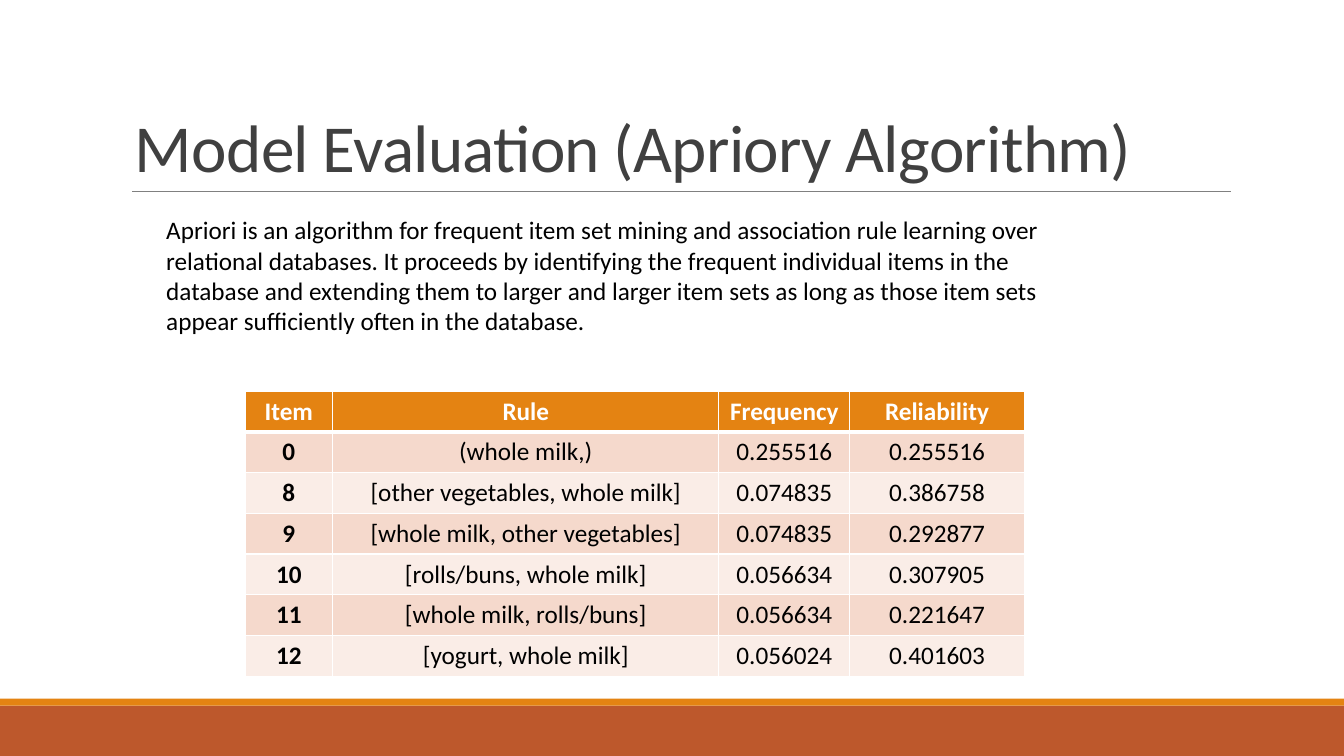
"""Build the slide on the evaluation of the Apriori algorithm."""
from lxml.etree import SubElement
from pptx import Presentation
from pptx.dml.color import RGBColor
from pptx.enum.shapes import MSO_CONNECTOR, MSO_SHAPE
from pptx.enum.text import MSO_ANCHOR, PP_ALIGN
from pptx.oxml.ns import qn
from pptx.util import Inches, Pt

WIDTH, HEIGHT = 13.33, 7.5
COLOURS = {
    "band": "BD582C",
    "accent": "E48312",
    "rule": "808080",
    "title": "404040",
    "text": "000000",
    "white": "FFFFFF",
    "odd": "F5D9CC",
    "even": "FAEDE7",
}
TITLE = "Model Evaluation (Apriory Algorithm)"
SUMMARY = (
    "Apriori is an algorithm for frequent item set mining and association rule "
    "learning over relational databases. It proceeds by identifying the frequent "
    "individual items in the database and extending them to larger and larger item "
    "sets as long as those item sets appear sufficiently often in the database."
)
COLUMN_SHARES = [6.53, 28.73, 9.75, 12.98]
ROW_SHARE = 5.39
RULES = [
    ("Item", "Rule", "Frequency", "Reliability"),
    ("0", "(whole milk,)", "0.255516", "0.255516"),
    ("8", "[other vegetables, whole milk]", "0.074835", "0.386758"),
    ("9", "[whole milk, other vegetables]", "0.074835", "0.292877"),
    ("10", "[rolls/buns, whole milk]", "0.056634", "0.307905"),
    ("11", "[whole milk, rolls/buns]", "0.056634", "0.221647"),
    ("12", "[yogurt, whole milk]", "0.056024", "0.401603"),
]


def across(percent):
    return Inches(WIDTH * percent / 100)


def down(percent):
    return Inches(HEIGHT * percent / 100)


def area(left, top, width, height):
    return across(left), down(top), across(width), down(height)


def colour(name):
    return RGBColor.from_string(COLOURS[name])


def write(frame, text, size=18, ink="text", bold=False, align=PP_ALIGN.LEFT,
          line_spacing=None, tracking=None):
    para = frame.paragraphs[0]
    para.alignment = align
    para.line_spacing = line_spacing
    span = para.add_run()
    span.text = text
    span.font.name = "Calibri"
    span.font.size = Pt(size)
    span.font.bold = bold
    span.font.color.rgb = colour(ink)
    if tracking is not None:
        span._r.get_or_add_rPr().set("spc", str(round(tracking * 100)))


def add_text(page, place, text, anchor=MSO_ANCHOR.TOP, **style):
    frame = page.shapes.add_textbox(*area(*place)).text_frame
    frame.word_wrap = True
    frame.vertical_anchor = anchor
    write(frame, text, **style)


def add_band(page, top, height, fill):
    band = page.shapes.add_shape(MSO_SHAPE.RECTANGLE, *area(0, top, 100, height))
    band.shadow.inherit = False
    band.fill.solid()
    band.fill.fore_color.rgb = colour(fill)
    band.line.fill.background()


def add_rule(page, start, end, level):
    rule = page.shapes.add_connector(
        MSO_CONNECTOR.STRAIGHT, across(start), down(level), across(end), down(level))
    rule.line.color.rgb = colour("rule")
    rule.line.width = Pt(0.5)
    SubElement(rule._element.spPr, qn("a:effectLst"))


def set_borders(cell, **widths):
    properties = cell._tc.get_or_add_tcPr()
    for side in "LRTB":
        line = SubElement(properties, qn(f"a:ln{side}"), w=str(Pt(widths.get(side, 1))))
        fill = SubElement(line, qn("a:solidFill"))
        SubElement(fill, qn("a:srgbClr"), val=COLOURS["white"])


def fill_cell(cell, text, row, column):
    header = row == 0
    set_borders(cell, T=3 if row == 1 else 1, B=3 if header else 1)
    cell.fill.solid()
    cell.fill.fore_color.rgb = colour(
        "accent" if header else "odd" if row % 2 else "even")
    cell.vertical_anchor = MSO_ANCHOR.MIDDLE
    write(cell.text_frame, text, ink="white" if header else "text",
          bold=header or column == 0, align=PP_ALIGN.CENTER)


def add_rules_table(page, left, top):
    place = area(left, top, sum(COLUMN_SHARES), ROW_SHARE * len(RULES))
    table = page.shapes.add_table(len(RULES), len(COLUMN_SHARES), *place).table
    for column, share in zip(table.columns, COLUMN_SHARES):
        column.width = across(share)
    for row, values in enumerate(RULES):
        table.rows[row].height = down(ROW_SHARE)
        for column, text in enumerate(values):
            fill_cell(table.cell(row, column), text, row, column)


def main():
    deck = Presentation()
    deck.slide_width, deck.slide_height = Inches(WIDTH), Inches(HEIGHT)
    page = deck.slides.add_slide(deck.slide_layouts[6])
    add_band(page, 93.33, 6.67, "band")
    add_band(page, 92.4, 0.93, "accent")
    add_rule(page, 9.83, 91.6, 25.33)
    add_text(page, (9.3, 4.13, 82.5, 21.2), TITLE, anchor=MSO_ANCHOR.BOTTOM,
             size=48, ink="title", line_spacing=0.85, tracking=-0.5)
    add_rules_table(page, 18.23, 51.73)
    add_text(page, (11.63, 27.73, 70.97, 17.47), SUMMARY)
    deck.save("out.pptx")


if __name__ == "__main__":
    main()
